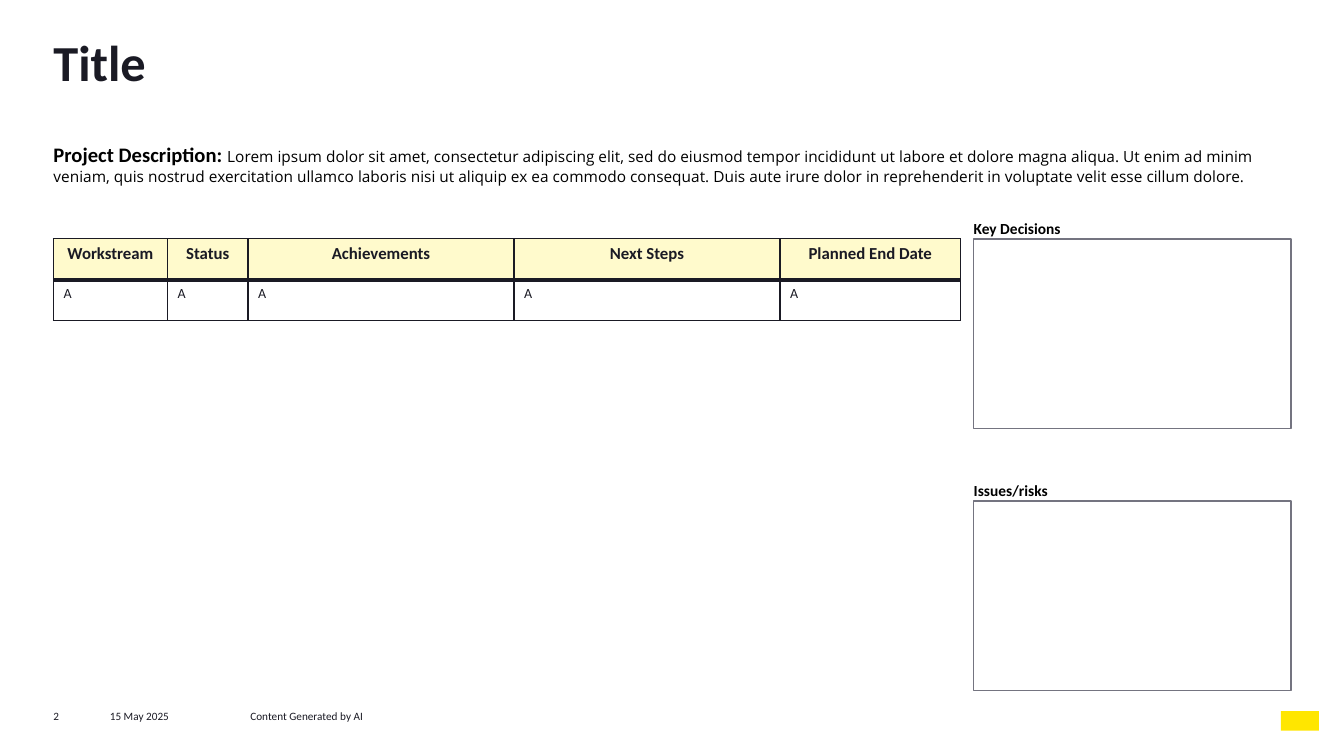
from lxml.etree import SubElement
from pptx import Presentation
from pptx.dml.color import RGBColor
from pptx.enum.shapes import MSO_SHAPE as Preset
from pptx.enum.text import PP_ALIGN as Align
from pptx.oxml.ns import qn
from pptx.util import Pt

COLOURS = {"ink": "1A1A24", "black": "000000", "grey": "747480",
           "header": "FFFACC", "accent": "FFE600"}
LEFT, CONTENT_WIDTH = 38.2, 884
TABLE_TOP = 170.6
PANEL_LEFT, PANEL_WIDTH, PANEL_HEIGHT, PANEL_STEP = 695.5, 226.8, 135.4, 187.2
LABEL_RISE = 14.3
FOOTER_TOP = 506.9
HEADERS = ["Workstream", "Status", "Achievements", "Next Steps", "Planned End Date"]
COLUMN_WIDTHS = [81.4, 57.6, 190, 190, 129]
DESCRIPTION = (
    "Lorem ipsum dolor sit amet, consectetur adipiscing elit, sed do eiusmod tempor "
    "incididunt ut labore et dolore magna aliqua. Ut enim ad minim veniam, quis nostrud "
    "exercitation ullamco laboris nisi ut aliquip ex ea commodo consequat. Duis aute irure "
    "dolor in reprehenderit in voluptate velit esse cillum dolore.")


class StatusSlide:
    def __init__(self, presentation):
        self.slide = presentation.slides.add_slide(presentation.slide_layouts[6])

    def colour(self, name):
        return RGBColor.from_string(COLOURS[name])

    def style(self, font, size, colour="ink", bold=False, name="Calibri"):
        font.name, font.size, font.bold = name, Pt(size), bold
        font.color.rgb = self.colour(colour)

    def text(self, left, top, width, height, content, size, colour="ink", bold=False):
        """Add a text box without margins and return its paragraph."""
        box = self.slide.shapes.add_textbox(Pt(left), Pt(top), Pt(width), Pt(height))
        frame = box.text_frame
        frame.word_wrap = True
        frame.margin_left = frame.margin_right = frame.margin_top = frame.margin_bottom = 0
        paragraph = frame.paragraphs[0]
        paragraph.text = content
        self.style(paragraph.font, size, colour, bold)
        return paragraph

    def description(self, top, height, lead, body):
        paragraph = self.text(LEFT, top, CONTENT_WIDTH, height, "", 11, "black")
        paragraph.space_after = Pt(3.7)
        for content, size, bold, name in [(lead, 14.7, True, "Calibri"),
                                          (body, 11, False, "Open Sans")]:
            run = paragraph.add_run()
            run.text = content
            self.style(run.font, size, "black", bold, name)

    def rectangle(self, left, top, width, height, fill=None, line=None):
        shape = self.slide.shapes.add_shape(
            Preset.RECTANGLE, Pt(left), Pt(top), Pt(width), Pt(height))
        shape.shadow.inherit = False
        if fill:
            shape.fill.solid()
            shape.fill.fore_color.rgb = self.colour(fill)
        else:
            shape.fill.background()
        if line:
            shape.line.color.rgb = self.colour(line)
            shape.line.width = Pt(1)
        else:
            shape.line.fill.background()

    def panel(self, top, label):
        """Add an empty framed box with its label above."""
        self.rectangle(PANEL_LEFT, top, PANEL_WIDTH, PANEL_HEIGHT, line="grey")
        self.text(PANEL_LEFT, top - LABEL_RISE, 140, 13.7, label, 11, "black", True)

    def borders(self, cell, widths):
        properties = cell._tc.get_or_add_tcPr()
        for index, (side, width) in enumerate(widths.items()):
            line = SubElement(properties, qn(f"a:ln{side}"), w=str(Pt(width)))
            fill = SubElement(line, qn("a:solidFill"))
            SubElement(fill, qn("a:srgbClr"), val=COLOURS["ink"])
            properties.insert(index, line)

    def table(self, left, top, widths, row_height, rows):
        frame = self.slide.shapes.add_table(
            len(rows), len(widths), Pt(left), Pt(top), Pt(sum(widths)),
            Pt(row_height * len(rows)))
        table = frame.table
        table.first_row = table.horz_banding = False
        for column, width in zip(table.columns, widths):
            column.width = Pt(width)
        for row_index, row in enumerate(rows):
            table.rows[row_index].height = Pt(row_height)
            is_header = row_index == 0
            for column_index, content in enumerate(row):
                cell = table.cell(row_index, column_index)
                paragraph = cell.text_frame.paragraphs[0]
                paragraph.text = content
                self.style(paragraph.font, 12 if is_header else 10, bold=is_header)
                if is_header:
                    paragraph.alignment = Align.CENTER
                    cell.fill.solid()
                    cell.fill.fore_color.rgb = self.colour("header")
                else:
                    cell.fill.background()
                self.borders(cell, {"L": 1, "R": 1, "T": 3 if row_index == 1 else 1,
                                    "B": 3 if is_header else 1})


def main():
    presentation = Presentation()
    presentation.slide_width, presentation.slide_height = Pt(960), Pt(540)
    status = StatusSlide(presentation)

    title = status.text(LEFT, 28.8, CONTENT_WIDTH, 36.7, "Title", 36, bold=True)
    title.line_spacing = 0.85
    status.description(101.5, 31, "Project Description: ", DESCRIPTION)
    status.table(LEFT, TABLE_TOP, COLUMN_WIDTHS, 29.3, [HEADERS, ["A"] * len(HEADERS)])
    for index, label in enumerate(["Key Decisions", "Issues/risks"]):
        status.panel(TABLE_TOP + index * PANEL_STEP, label)
    for left, width, content in [(LEFT, 40, "2"), (78.5, 100, "15 May 2025"),
                                 (178.8, 300, "Content Generated by AI")]:
        status.text(left, FOOTER_TOP, width, 9.4, content, 8)
    status.rectangle(915, 508, 27, 14, fill="accent")

    presentation.save("out.pptx")


if __name__ == "__main__":
    main()
